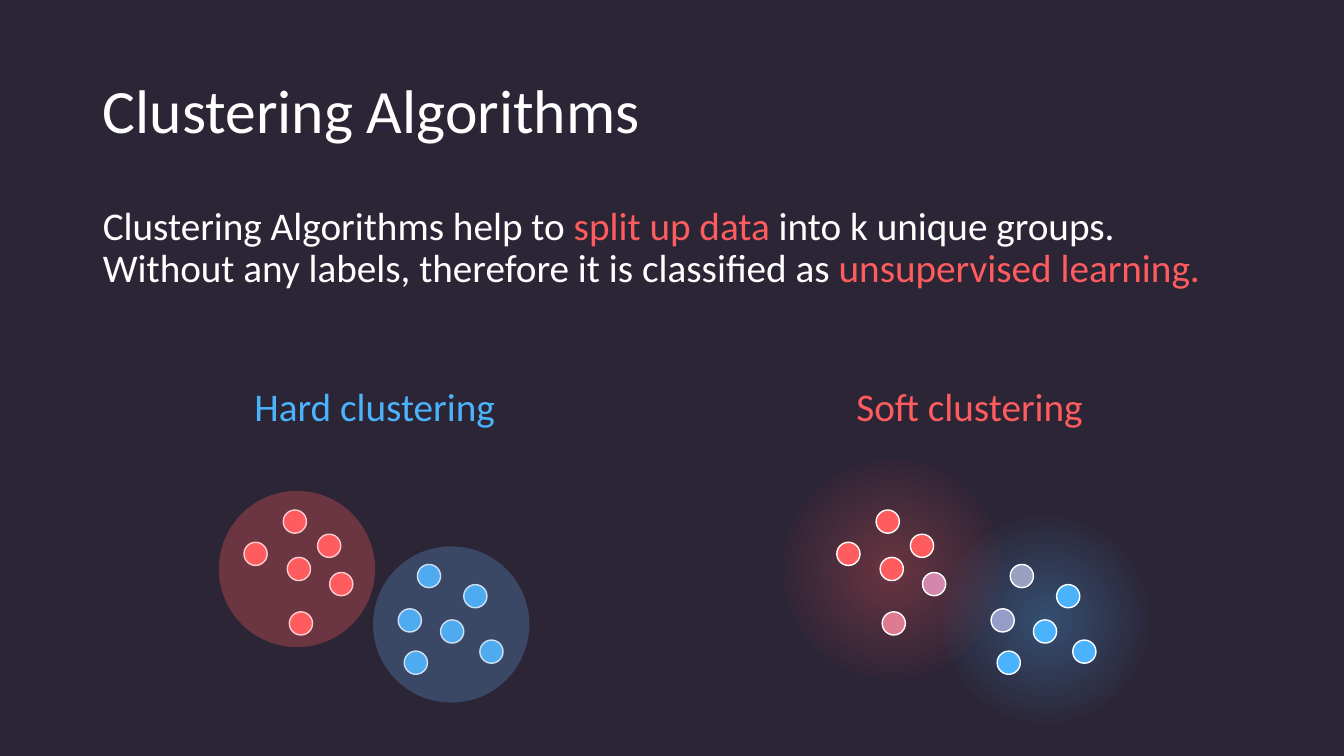
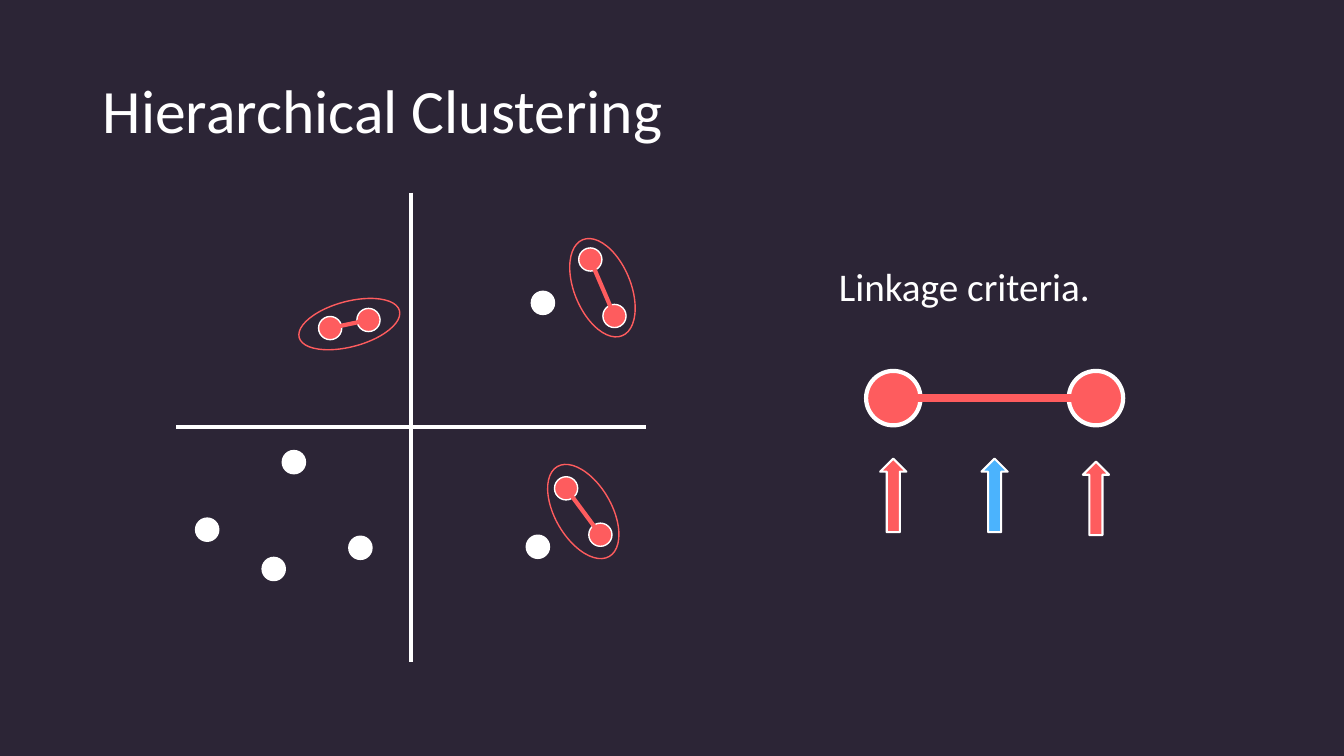
from dataclasses import dataclass

from lxml.etree import SubElement
from pptx import Presentation
from pptx.dml.color import RGBColor
from pptx.enum.shapes import MSO_CONNECTOR, MSO_SHAPE
from pptx.enum.text import MSO_ANCHOR, MSO_AUTO_SIZE, PP_ALIGN
from pptx.oxml import parse_xml
from pptx.oxml.ns import nsdecls, qn
from pptx.util import Inches, Pt


@dataclass(frozen=True)
class Theme:
    background: str = "2C2536"
    white: str = "FFFFFF"
    red: str = "FE5C5E"
    blue: str = "4BB3FD"
    steel: str = "5B9BD5"
    pink: str = "D288AD"
    rose: str = "DF7B90"
    lilac: str = "99A0C1"
    periwinkle: str = "939DC7"
    font: str = "Calibri"
    title_size: int = 44
    body_size: int = 28


THEME = Theme()
DOT = 0.23
RED_POINTS = [(0.25, 0.51), (0.64, 0.19), (0.98, 0.43),
              (0.68, 0.66), (1.1, 0.81), (0.7, 1.2)]
BLUE_POINTS = [(1.97, 0.73), (1.78, 1.17), (2.43, 0.93),
               (2.2, 1.28), (1.84, 1.59), (2.59, 1.48)]


def color(value):
    return RGBColor.from_string(value)


def move(shape, left, top, width, height):
    shape.left, shape.top = Inches(left), Inches(top)
    shape.width, shape.height = Inches(width), Inches(height)


def write_text(shape, pieces, size, alignment=PP_ALIGN.LEFT, space_before=10):
    text_frame = shape.text_frame
    text_frame.word_wrap = True
    text_frame.auto_size = MSO_AUTO_SIZE.NONE
    paragraph = text_frame.paragraphs[0]
    paragraph.alignment = alignment
    paragraph.line_spacing = 0.9
    paragraph.space_before = Pt(space_before)
    for text, text_color in pieces:
        run = paragraph.add_run()
        run.text = text
        run.font.name = THEME.font
        run.font.size = Pt(size)
        run.font.color.rgb = color(text_color)
    return paragraph


def add_title_slide(presentation, title):
    slide = presentation.slides.add_slide(presentation.slide_layouts[1])
    shape = slide.shapes.title
    move(shape, 0.92, 0.4, 11.5, 1.45)
    write_text(shape, [(title, THEME.white)], THEME.title_size, space_before=0)
    shape.text_frame.vertical_anchor = MSO_ANCHOR.MIDDLE
    return slide


def fill_body(slide, box, pieces):
    body = slide.placeholders[1]
    move(body, *box)
    paragraph = write_text(body, pieces, THEME.body_size)
    body.text_frame.margin_right = Inches(0.35)
    properties = paragraph._p.get_or_add_pPr()
    properties.set("marL", "0")
    properties.set("indent", "0")
    SubElement(properties, qn("a:buNone"))


def add_subheading(slide, left, text, text_color):
    box = slide.shapes.add_textbox(Inches(left), Inches(3.8), Inches(3.09), Inches(0.56))
    write_text(box, [(text, text_color)], THEME.body_size, PP_ALIGN.CENTER)


def add_shape(slide, kind, box, fill=None, line=None, weight=1):
    shape = slide.shapes.add_shape(kind, *[Inches(length) for length in box])
    shape.shadow.inherit = False
    if fill:
        shape.fill.solid()
        shape.fill.fore_color.rgb = color(fill)
    else:
        shape.fill.background()
    if line:
        shape.line.color.rgb = color(line)
        shape.line.width = Pt(weight)
    else:
        shape.line.fill.background()
    return shape


def add_dot(slide, left, top, fill, size=DOT, weight=1):
    add_shape(slide, MSO_SHAPE.OVAL, (left, top, size, size), fill, THEME.white, weight)


def add_line(slide, start, end, line_color, weight):
    points = [Inches(length) for length in (*start, *end)]
    line = slide.shapes.add_connector(MSO_CONNECTOR.STRAIGHT, *points)
    line.line.color.rgb = color(line_color)
    line.line.width = Pt(weight)
    SubElement(line._element.spPr, qn("a:effectLst"))


def add_disc(slide, left, top, size, fill):
    disc = add_shape(slide, MSO_SHAPE.OVAL, (left, top, size, size), fill)
    solid = disc._element.spPr.find(qn("a:solidFill"))
    SubElement(solid[0], qn("a:alpha"), val="30000")


def add_glow(slide, left, top, size, fill):
    glow = add_shape(slide, MSO_SHAPE.OVAL, (left, top, size, size))
    stops = "".join(
        f'<a:gs pos="{position}"><a:srgbClr val="{fill}"><a:alpha val="{alpha}"/></a:srgbClr></a:gs>'
        for position, alpha in ((0, 30000), (75000, 0)))
    gradient = parse_xml(
        f'<a:gradFill {nsdecls("a")} rotWithShape="1"><a:gsLst>{stops}</a:gsLst>'
        '<a:path path="circle"><a:fillToRect l="50000" t="50000" r="50000" b="50000"/></a:path>'
        '</a:gradFill>')
    properties = glow._element.spPr
    properties.replace(properties.find(qn("a:noFill")), gradient)


def add_points(slide, left, top, fills):
    for (x, y), fill in zip(RED_POINTS + BLUE_POINTS, fills):
        add_dot(slide, left + x, top + y, fill)


def add_hard_clusters(slide, left, top):
    add_points(slide, left, top, [THEME.red] * 6 + [THEME.blue] * 6)
    add_disc(slide, left + 1.53, top + 0.55, 1.55, THEME.steel)
    add_disc(slide, left, top, 1.55, THEME.red)


def add_soft_clusters(slide, left, top):
    add_glow(slide, left + 1.3, top + 0.26, 2.04, THEME.blue)
    add_glow(slide, left - 0.29, top - 0.31, 2.17, THEME.red)
    reds = [THEME.red] * 4 + [THEME.pink, THEME.rose]
    blues = [THEME.lilac, THEME.periwinkle] + [THEME.blue] * 4
    add_points(slide, left, top, reds + blues)


def add_linked_pair(slide, start, end, ring_height, rotation):
    centers = [(x + DOT / 2, y + DOT / 2) for x, y in (start, end)]
    for point in (start, end):
        add_dot(slide, *point, THEME.red)
    add_line(slide, *centers, THEME.red, 3)
    middle_x, middle_y = [sum(values) / 2 for values in zip(*centers)]
    ring_width = 1.03
    box = (middle_x - ring_width / 2, middle_y - ring_height / 2, ring_width, ring_height)
    ring = add_shape(slide, MSO_SHAPE.OVAL, box, line=THEME.red)
    ring.rotation = rotation


def add_scatter(slide, left, top, size):
    middle = size / 2
    add_line(slide, (left, top + middle), (left + size, top + middle), THEME.white, 3)
    add_line(slide, (left + middle, top), (left + middle, top + size), THEME.white, 3)
    singles = [(3.52, 0.98), (3.47, 3.4), (1.71, 3.41),
               (1.05, 2.56), (0.19, 3.23), (0.85, 3.62)]
    for x, y in singles:
        add_dot(slide, left + x, top + y, THEME.white)
    pairs = [((3.99, 0.55), (4.23, 1.11), 0.56, 67.6),
             ((1.41, 1.23), (1.79, 1.15), 0.45, 345),
             ((3.75, 2.82), (4.09, 3.28), 0.56, 60)]
    for start, end, ring_height, rotation in pairs:
        points = [(left + x, top + y) for x, y in (start, end)]
        add_linked_pair(slide, *points, ring_height, rotation)


def add_linkage(slide, left, top, width):
    size = 0.54
    center_y = top + size / 2
    first, last = left + size / 2, left + width - size / 2
    for center in (first, last):
        add_dot(slide, center - size / 2, top, THEME.red, size, 3)
    add_line(slide, (first, center_y), (last, center_y), THEME.red, 6)
    arrows = [(first, 0.87, THEME.red), ((first + last) / 2, 0.87, THEME.blue),
              (last, 0.9, THEME.red)]
    for center, drop, fill in arrows:
        box = (center - 0.13, top + drop, 0.26, 0.73)
        add_shape(slide, MSO_SHAPE.UP_ARROW, box, fill, THEME.white, 1.5)


def add_algorithms_slide(presentation):
    slide = add_title_slide(presentation, "Clustering Algorithms")
    fill_body(slide, (0.92, 2, 11.5, 1.37), [
        ("Clustering Algorithms help to ", THEME.white),
        ("split up data", THEME.red),
        (" into k unique groups. Without any labels, therefore it is classified as ", THEME.white),
        ("unsupervised learning.", THEME.red)])
    add_subheading(slide, 2.17, "Hard clustering", THEME.blue)
    add_subheading(slide, 8.07, "Soft clustering", THEME.red)
    add_hard_clusters(slide, 2.17, 4.87)
    add_soft_clusters(slide, 8.05, 4.87)


def add_hierarchical_slide(presentation):
    slide = add_title_slide(presentation, "Hierarchical Clustering")
    fill_body(slide, (8.22, 2.6, 4.2, 4.16), [("Linkage criteria.", THEME.white)])
    add_scatter(slide, 1.75, 1.91, 4.66)
    add_linkage(slide, 8.59, 3.68, 2.55)


presentation = Presentation()
presentation.slide_width = Inches(13.33)
presentation.slide_height = Inches(7.5)
master_fill = presentation.slide_master.background.fill
master_fill.solid()
master_fill.fore_color.rgb = color(THEME.background)
add_algorithms_slide(presentation)
add_hierarchical_slide(presentation)
presentation.save("out.pptx")
